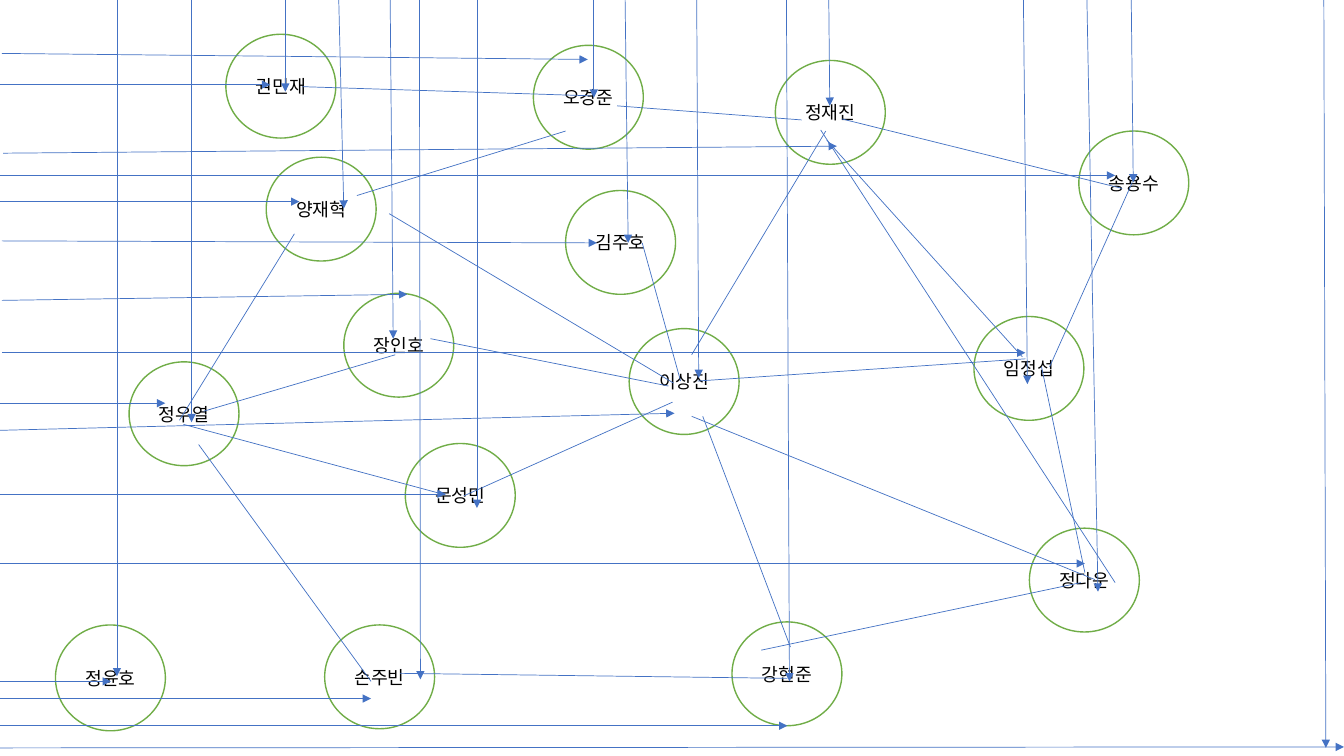
from lxml import etree
from pptx import Presentation
from pptx.dml.color import RGBColor
from pptx.enum.shapes import MSO_CONNECTOR, MSO_SHAPE
from pptx.enum.text import MSO_ANCHOR, PP_ALIGN
from pptx.oxml.ns import qn
from pptx.util import Inches, Pt

ELLIPSE = MSO_SHAPE.OVAL
STRAIGHT = MSO_CONNECTOR.STRAIGHT
MIDDLE = MSO_ANCHOR.MIDDLE
CENTER = PP_ALIGN.CENTER

COLORS = {"paper": "FFFFFF", "ring": "70AD47", "link": "4472C4", "text": "000000"}
FONT = "Noto Sans CJK KR"
NODE_WIDTH, NODE_HEIGHT, TALL_NODE_HEIGHT = 1.09, 1.03, 1.05

# name: left, top
PEOPLE = {
    "강현준": (7.26, 6.17), "송용수": (10.7, 1.3), "정재진": (7.69, 0.6),
    "양재혁": (2.64, 1.56), "임정섭": (9.66, 3.14), "장인호": (3.41, 2.91),
    "권민재": (2.24, 0.34), "손주빈": (3.22, 6.2), "오경준": (5.29, 0.45),
    "문성민": (4.02, 4.4), "이상진": (6.24, 3.26), "정다운": (10.21, 5.24),
    "정우열": (1.28, 3.59), "정윤호": (0.55, 6.2), "김주호": (5.61, 1.89),
}
TALL_NODES = {"이상진", "정윤호"}

# start x, start y, end x, end y
FRIEND_LINKS = [
    (8.19, 1.3, 6.86, 3.52), (8.2, 1.39, 10.14, 3.54),
    (8.35, 1.18, 11.13, 1.87), (11.23, 1.81, 10.41, 3.64),
    (3, 0.86, 5.85, 0.95), (3.54, 1.94, 5.61, 1.3),
    (2.92, 2.32, 1.78, 4.17), (1.82, 4.21, 4.42, 4.91),
    (2.02, 4.08, 3.92, 3.52), (4.27, 3.36, 6.63, 3.83),
    (6.37, 2.41, 6.75, 3.78), (3.68, 6.76, 1.97, 4.41),
    (10.86, 5.75, 6.86, 4.13), (11.06, 5.78, 8.14, 1.29),
    (10.76, 5.68, 10.33, 3.64), (3.97, 6.68, 7.81, 6.73),
    (7.55, 6.45, 10.72, 5.78), (6.97, 4.13, 7.84, 6.42),
    (6.67, 3.99, 4.6, 4.92), (3.86, 2.12, 6.68, 3.8),
    (6.12, 1.05, 7.95, 1.19), (6.92, 3.78, 10.17, 3.56),
]
ROW_ARROWS = [
    (0, 0.84, 2.68, 0.84), (0, 2, 2.97, 2), (0, 4, 1.64, 4),
    (0, 6.76, 1.1, 6.76), (0, 6.93, 3.68, 6.93), (-0.02, 7.2, 7.81, 7.2),
    (0, 5.59, 10.76, 5.59), (0.02, 3.5, 10.17, 3.5),
    (0.02, 2.98, 4.04, 2.92), (0.02, 0.53, 5.83, 0.59),
    (0.03, 1.52, 8.3, 1.45), (0.02, 2.39, 5.92, 2.41),
    (0, 1.74, 11.06, 1.74), (0, 4.9, 4.42, 4.9), (-0.02, 4.27, 6.69, 4.1),
]
COLUMN_ARROWS = [
    (2.83, 0, 2.83, 0.91), (5.89, -0.04, 5.89, 0.97),
    (8.22, -0.02, 8.23, 1.05), (11.22, -0.02, 11.24, 1.81),
    (10.15, -0.04, 10.19, 3.81), (10.78, -0.02, 10.89, 5.87),
    (7.8, -0.02, 7.83, 6.76), (6.91, -0.02, 6.93, 3.75),
    (3.87, -0.02, 3.9, 3.36), (4.73, -0.04, 4.73, 5.04),
    (3.36, 0, 3.41, 2.07), (1.9, -0.06, 1.9, 4.19),
    (1.16, -0.04, 1.16, 6.71), (4.16, 0, 4.17, 6.74), (6.2, 0, 6.23, 2.41),
]
AXES = [(-0.02, 7.42, 13.33, 7.41), (13.13, -0.02, 13.15, 7.42)]


def rgb(name):
    return RGBColor.from_string(COLORS[name])


def write_text(box, text, size=13, color="text", align=CENTER, anchor=MIDDLE):
    frame = box.text_frame
    frame.word_wrap = True
    frame.vertical_anchor = anchor
    frame.margin_left = frame.margin_right = 0
    frame.margin_top = frame.margin_bottom = 0
    para = frame.paragraphs[0]
    para.alignment = align
    span = para.add_run()
    span.text = text
    span.font.size = Pt(size)
    span.font.name = FONT
    span.font.color.rgb = rgb(color)
    east_asian = etree.SubElement(span.font._element, qn("a:ea"))
    east_asian.set("typeface", FONT)


class NetworkSlide:
    """Holds the current slide and the style of its nodes and links."""

    def __init__(self, deck):
        self.slide = deck.slides.add_slide(deck.slide_layouts[6])
        self.ring_width = Pt(1)
        self.link_width = Pt(0.5)

    def node(self, name, left, top, height):
        circle = self.slide.shapes.add_shape(
            ELLIPSE, Inches(left), Inches(top), Inches(NODE_WIDTH), Inches(height))
        circle.shadow.inherit = False
        circle.fill.solid()
        circle.fill.fore_color.rgb = rgb("paper")
        circle.line.color.rgb = rgb("ring")
        circle.line.width = self.ring_width
        write_text(circle, name)

    def link(self, ends, arrow=False):
        connector = self.slide.shapes.add_connector(
            STRAIGHT, *(Inches(value) for value in ends))
        connector.line.color.rgb = rgb("link")
        connector.line.width = self.link_width
        if arrow:
            head = etree.SubElement(connector.line._get_or_add_ln(), qn("a:tailEnd"))
            head.set("type", "triangle")
        etree.SubElement(connector._element.spPr, qn("a:effectLst"))


def main():
    deck = Presentation()
    deck.slide_width, deck.slide_height = Inches(13.33), Inches(7.5)
    network = NetworkSlide(deck)
    for name, (left, top) in PEOPLE.items():
        height = TALL_NODE_HEIGHT if name in TALL_NODES else NODE_HEIGHT
        network.node(name, left, top, height)
    for ends in FRIEND_LINKS:
        network.link(ends)
    for ends in ROW_ARROWS + COLUMN_ARROWS + AXES:
        network.link(ends, arrow=True)
    deck.save("out.pptx")


if __name__ == "__main__":
    main()
